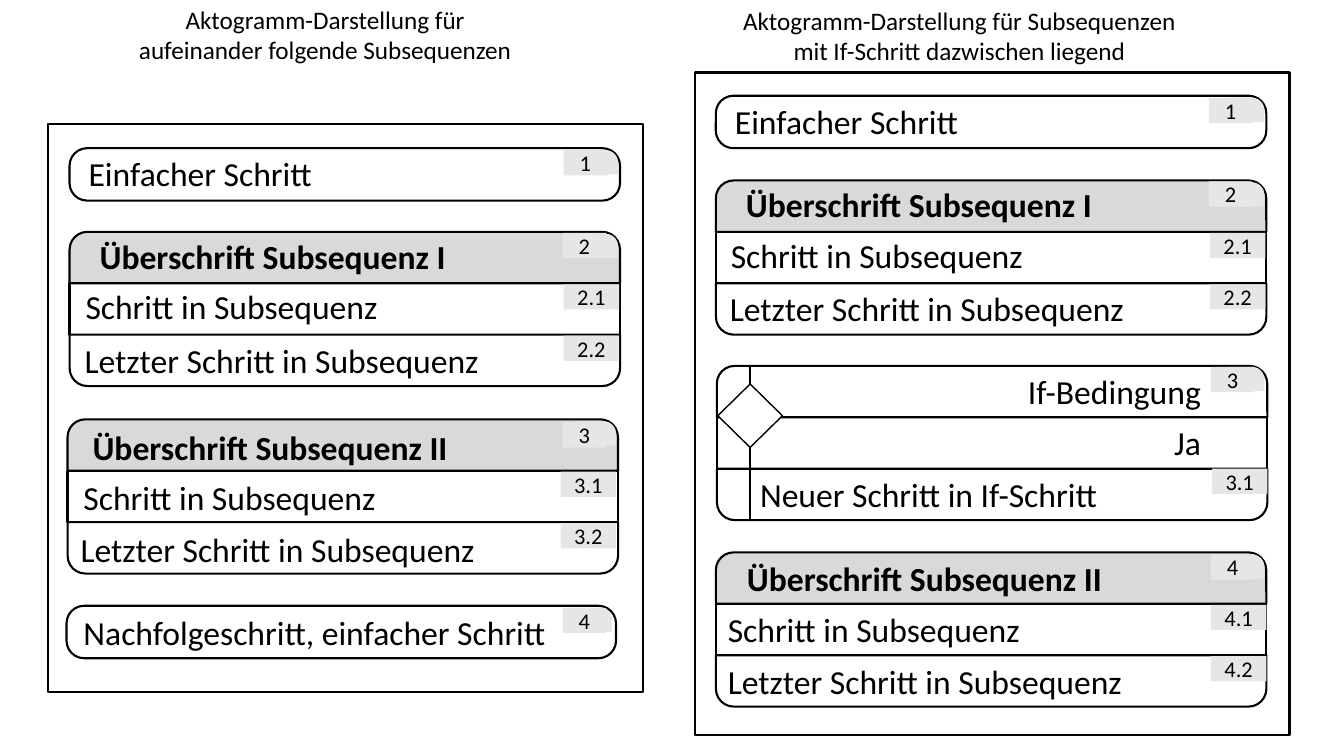
import dataclasses
import typing

import pptx
import pptx.dml.color
import pptx.enum.shapes
import pptx.enum.text
import pptx.util
from lxml import etree

Inches = pptx.util.Inches
Shape = pptx.enum.shapes.MSO_SHAPE
Align = pptx.enum.text.PP_ALIGN
Anchor = pptx.enum.text.MSO_ANCHOR

BLACK, WHITE, HEADING_GREY, BADGE_GREY = "000000", "FFFFFF", "D9D9D9", "E7E6E6"
FONT = "Calibri"
ROW_WIDTH, ROW_HEIGHT = 5.46, 0.51
STEP_HEIGHT = 0.52
LABEL_HEIGHT = 0.5
ROUNDING = 0.346
CORNER_OFFSET = 4.97


@dataclasses.dataclass
class Label:
    text: str
    left: float
    top: float
    width: float
    size: int = 24
    bold: bool = False
    align: Align = Align.LEFT
    height: float = LABEL_HEIGHT


@dataclasses.dataclass
class Step:
    left: float
    top: float
    number: str
    badge_left: float
    label: Label
    width: float = ROW_WIDTH
    corner_offset: float = CORNER_OFFSET


@dataclasses.dataclass
class Subsequence:
    left: float
    top: float
    number: str
    badge_left: float
    badge_drop: float
    step_badge_left: float
    labels: tuple[Label, Label, Label]


def title(text: str, left: float, top: float, width: float) -> Label:
    return Label(text, left, top, width, bold=True)


def inner_step(left: float, top: float) -> Label:
    return Label("Schritt in Subsequenz", left, top, 3.87)


def last_step(left: float, top: float) -> Label:
    return Label("Letzter Schritt in Subsequenz", left, top, 4.39)


CAPTIONS = (
    Label("Aktogramm-Darstellung für\naufeinander folgende Subsequenzen",
          0.08, -0.01, 6.29, 18, align=Align.CENTER, height=0.71),
    Label("Aktogramm-Darstellung für Subsequenzen\nmit If-Schritt dazwischen liegend",
          6.37, 0, 6.29, 18, align=Align.CENTER, height=0.71),
)
PANELS = ((0.48, 1.23, 5.9, 5.64), (6.89, 0.72, 5.9, 6.57))
STEPS = (
    Step(0.69, 1.47, "1", 5.59, Label("Einfacher Schritt", 0.78, 1.47, 4.82)),
    Step(0.66, 6.01, "4", 5.58,
         Label("Nachfolgeschritt, einfacher Schritt", 0.73, 6.02, 4.86), 5.45, 4.94),
    Step(7.1, 0.95, "1", 11.99, Label("Einfacher Schritt", 7.19, 0.95, 4.82)),
)
SUBSEQUENCES = (
    Subsequence(0.69, 2.3, "2", 5.58, 0.01, 5.59,
                (title("Überschrift Subsequenz I", 0.89, 2.29, 3.73),
                 inner_step(0.75, 2.79), last_step(0.74, 3.32))),
    Subsequence(0.67, 4.16, "3", 5.58, 0.03, 5.56,
                (title("Überschrift Subsequenz II", 0.82, 4.19, 4.24),
                 inner_step(0.73, 4.68), last_step(0.7, 5.2))),
    Subsequence(7.1, 1.79, "2", 11.99, 0.01, 12,
                (title("Überschrift Subsequenz I", 7.3, 1.78, 3.73),
                 inner_step(7.15, 2.28), last_step(7.14, 2.81))),
    Subsequence(7.1, 5.48, "4", 12.01, 0.02, 12.01,
                (title("Überschrift Subsequenz II", 7.31, 5.49, 4.24),
                 inner_step(7.12, 5.99), last_step(7.12, 6.51))),
)
IF_LEFT, IF_TOP = 7.11, 3.63
IF_AXIS = 7.44
IF_LABELS = (
    Label("If-Bedingung", 8.94, 3.63, 3.07, align=Align.RIGHT),
    Label("Ja", IF_AXIS, 4.14, 4.57, align=Align.RIGHT),
    Label("Neuer Schritt in If-Schritt", IF_AXIS, 4.65, 4.39),
)

deck = pptx.Presentation()
deck.slide_width, deck.slide_height = Inches(13.33), Inches(7.5)
page = deck.slides.add_slide(deck.slide_layouts[6])


def rgb(color: str) -> pptx.dml.color.RGBColor:
    return pptx.dml.color.RGBColor.from_string(color)


def apply(target: typing.Any, values: dict[str, typing.Any]) -> None:
    for name, value in values.items():
        setattr(target, name, value)


def write(frame: typing.Any, text: str, size: int, bold: bool, align: Align) -> None:
    for index, line in enumerate(text.split("\n")):
        para = frame.add_paragraph() if index else frame.paragraphs[0]
        para.alignment = align
        span = para.add_run()
        span.text = line
        apply(span.font, {"name": FONT, "size": pptx.util.Pt(size), "bold": bold})
        span.font.color.rgb = rgb(BLACK)


def draw_shape(kind: Shape, left: float, top: float, width: float, height: float,
               fill: str = WHITE, line: float = 1.5,
               adjustments: tuple[float, ...] = ()) -> typing.Any:
    shape = page.shapes.add_shape(kind, Inches(left), Inches(top), Inches(width), Inches(height))
    shape.shadow.inherit = False
    shape.fill.solid()
    shape.fill.fore_color.rgb = rgb(fill)
    if line:
        shape.line.color.rgb = rgb(BLACK)
        shape.line.width = pptx.util.Pt(line)
    else:
        shape.line.fill.background()
    for index, value in enumerate(adjustments):
        shape.adjustments[index] = value
    return shape


def draw_line(x1: float, y1: float, x2: float, y2: float) -> None:
    line = page.shapes.add_connector(pptx.enum.shapes.MSO_CONNECTOR.STRAIGHT,
                                     Inches(x1), Inches(y1), Inches(x2), Inches(y2))
    line.line.color.rgb = rgb(BLACK)
    line.line.width = pptx.util.Pt(1.5)
    etree.SubElement(line._element.spPr, pptx.oxml.ns.qn("a:effectLst"))


def draw_label(label: Label) -> None:
    box = page.shapes.add_textbox(Inches(label.left), Inches(label.top),
                                  Inches(label.width), Inches(label.height))
    apply(box.text_frame, {"word_wrap": True,
                           "auto_size": pptx.enum.text.MSO_AUTO_SIZE.SHAPE_TO_FIT_TEXT})
    write(box.text_frame, label.text, label.size, label.bold, label.align)


def draw_badge(number: str, left: float, top: float) -> None:
    width = 0.55 if "." in number else 0.43
    badge = draw_shape(Shape.RECTANGLE, left, top, width, 0.25, BADGE_GREY, 0)
    apply(badge.text_frame, {"margin_left": Inches(0.04), "margin_right": Inches(0.04),
                             "word_wrap": True, "vertical_anchor": Anchor.MIDDLE})
    write(badge.text_frame, number, 16, False, Align.CENTER)


def draw_corner(left: float, top: float) -> None:
    draw_shape(Shape.ROUND_2_SAME_RECTANGLE, left, top, 0.47, 0.24, BADGE_GREY, 0, (0.5, 0))


def draw_rows(left: float, top: float, heading_fill: str) -> None:
    middle, bottom = top + ROW_HEIGHT, top + 2 * ROW_HEIGHT
    draw_shape(Shape.ROUNDED_RECTANGLE, left, middle, ROW_WIDTH, ROW_HEIGHT, adjustments=(0,))
    draw_line(left, bottom, left + ROW_WIDTH, bottom)
    for row_top, fill, turn in ((top, heading_fill, 0), (bottom, WHITE, 180)):
        row = draw_shape(Shape.ROUND_2_SAME_RECTANGLE, left, row_top, ROW_WIDTH, ROW_HEIGHT,
                         fill, adjustments=(ROUNDING, 0))
        row.rotation = turn


def draw_step(step: Step) -> None:
    draw_shape(Shape.ROUNDED_RECTANGLE, step.left, step.top, step.width, STEP_HEIGHT,
               adjustments=(0.335,))
    draw_corner(step.left + step.corner_offset, step.top + 0.02)
    draw_badge(step.number, step.badge_left, step.top + 0.02)
    draw_label(step.label)


def draw_subsequence(group: Subsequence) -> None:
    draw_rows(group.left, group.top, HEADING_GREY)
    draw_corner(group.left + CORNER_OFFSET, group.top + 0.02)
    draw_badge(group.number, group.badge_left, group.top + group.badge_drop)
    for index in (1, 2):
        draw_badge(f"{group.number}.{index}", group.step_badge_left,
                   group.top + index * ROW_HEIGHT + 0.01)
    for label in group.labels:
        draw_label(label)


def draw_if_step() -> None:
    draw_rows(IF_LEFT, IF_TOP, WHITE)
    draw_corner(12.07, IF_TOP + 0.01)
    draw_badge("3", 12.01, IF_TOP + 0.01)
    draw_badge("3.1", 12.02, IF_TOP + 2 * ROW_HEIGHT)
    draw_line(IF_AXIS, IF_TOP, IF_AXIS, IF_TOP + 3 * ROW_HEIGHT)
    draw_shape(Shape.DIAMOND, 7.12, 3.81, 0.64, 0.63, line=1)
    for label in IF_LABELS:
        draw_label(label)


for panel in PANELS:
    draw_shape(Shape.RECTANGLE, *panel)
for caption in CAPTIONS:
    draw_label(caption)
for single_step in STEPS:
    draw_step(single_step)
for subsequence in SUBSEQUENCES:
    draw_subsequence(subsequence)
draw_if_step()
deck.save("out.pptx")
